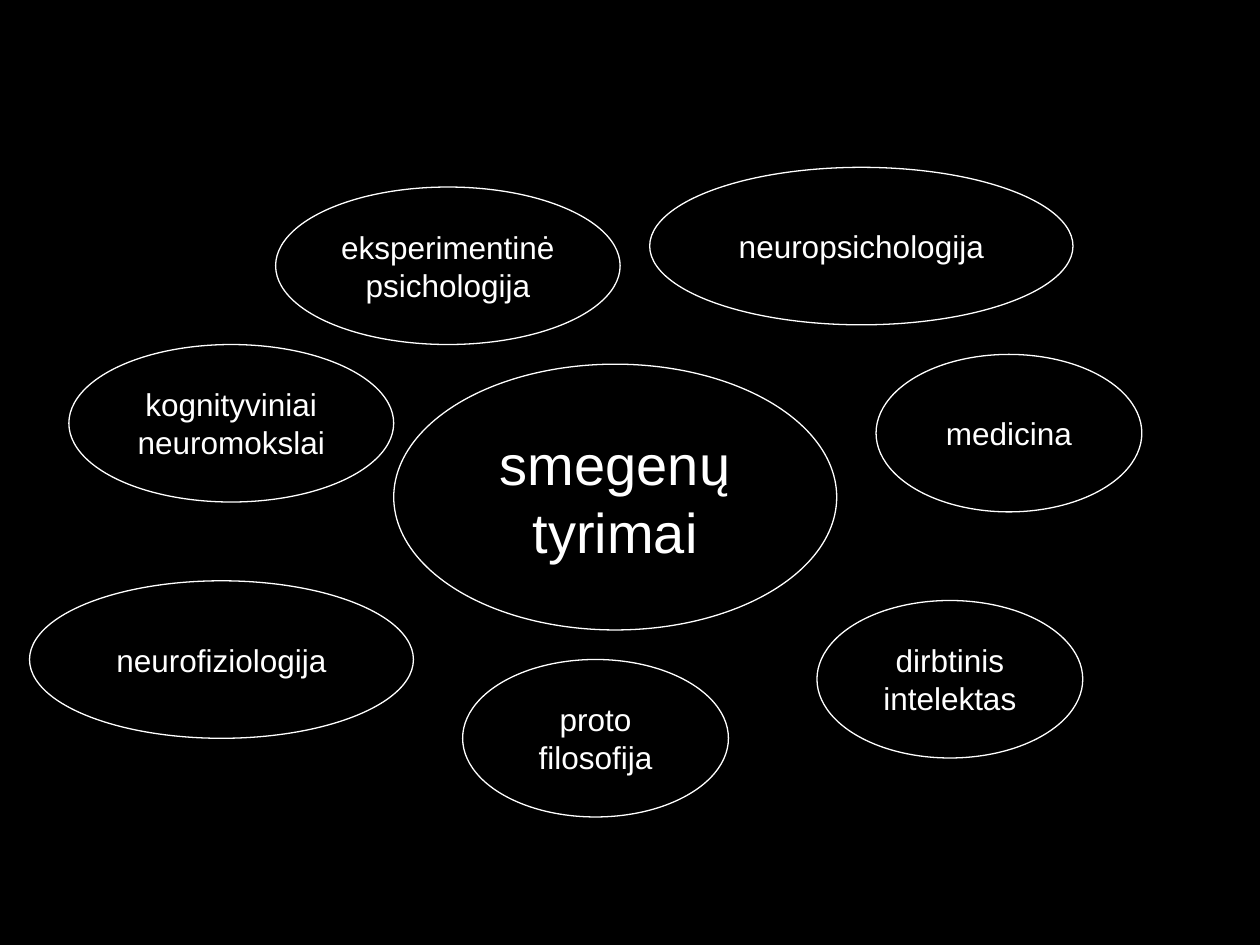
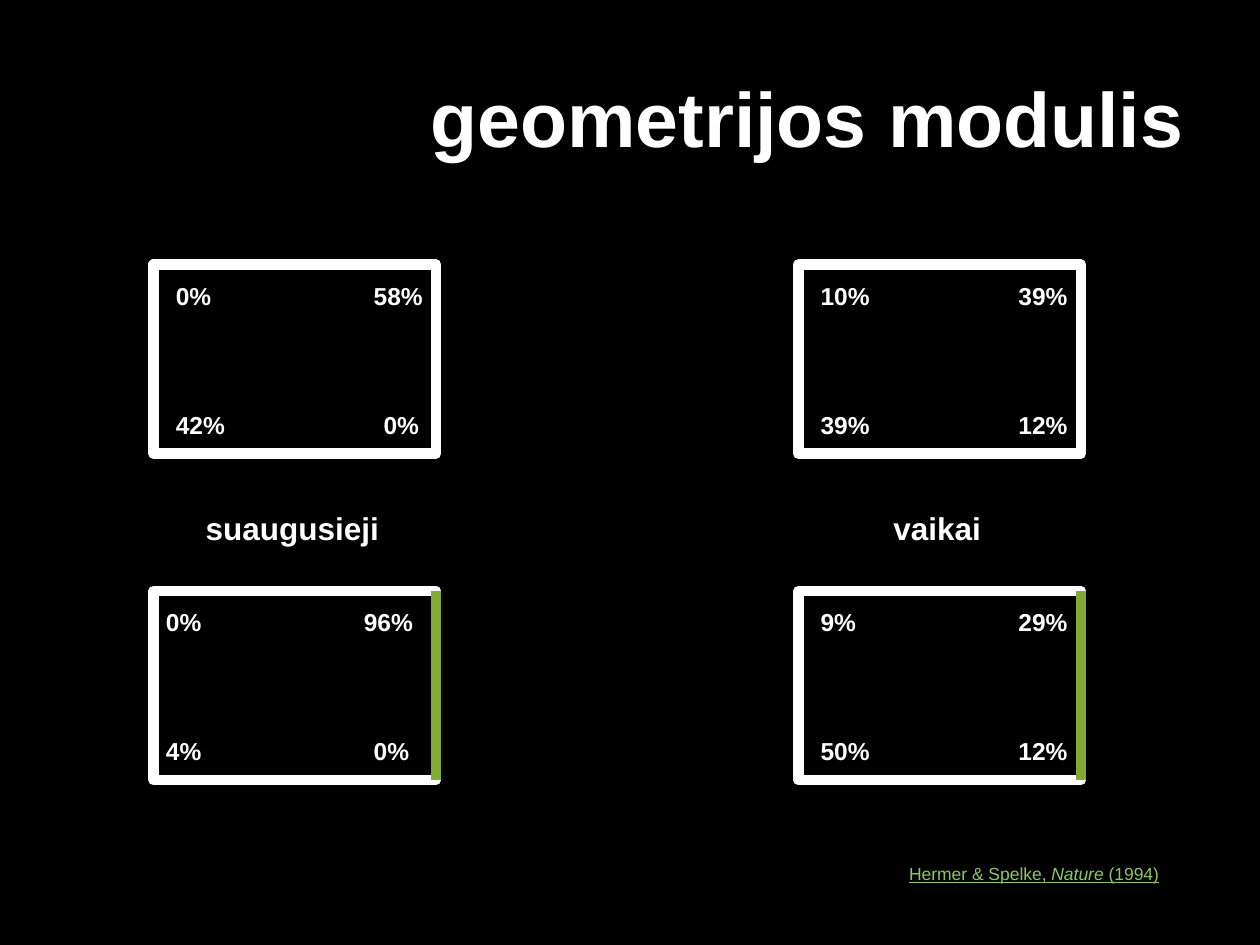
"""Build two Lithuanian slides on brain research and the geometry module."""
from dataclasses import dataclass
from itertools import product

from lxml.etree import SubElement
from pptx import Presentation
from pptx.dml.color import RGBColor
from pptx.enum.shapes import MSO_CONNECTOR, MSO_SHAPE
from pptx.enum.text import MSO_ANCHOR, MSO_AUTO_SIZE, PP_ALIGN
from pptx.oxml.ns import qn
from pptx.util import Inches, Pt

BLACK = RGBColor(0x00, 0x00, 0x00)
WHITE = RGBColor(0xFF, 0xFF, 0xFF)
WALL_GREEN = RGBColor(0x84, 0xAA, 0x33)
LINK_GREEN = RGBColor(0x8D, 0xC7, 0x65)
FONT = "Arial"
SLIDE_WIDTH, SLIDE_HEIGHT = Inches(10), Inches(7.5)
COLUMNS, ROWS = 128, 96
WALL_WIDTH = 6

ROOM_LEFT, ROOM_TOP = 15.6, 26.9
ROOM_WIDTH, ROOM_HEIGHT = 28.7, 19.2
ROOM_COLUMN_STEP, ROOM_ROW_STEP = 65.5, 33.15
CORNER_COLUMNS, CORNER_ROWS = (1, 21.1), (1, 14.1)


@dataclass(frozen=True)
class Area:
    """A rectangle in grid columns and rows."""
    column: float
    row: float
    width: float
    height: float

    def emu(self) -> tuple[int, int, int, int]:
        """Return left, top, width and height in slide units."""
        return (round(self.column * SLIDE_WIDTH / COLUMNS), round(self.row * SLIDE_HEIGHT / ROWS),
                round(self.width * SLIDE_WIDTH / COLUMNS), round(self.height * SLIDE_HEIGHT / ROWS))


@dataclass(frozen=True)
class Field:
    """A research field in an ellipse."""
    label: str
    area: Area
    size: int = 18


@dataclass(frozen=True)
class Room:
    """A room with a share for each corner, row by row."""
    column: int
    row: int
    shares: tuple[str, str, str, str]
    shift: float = 0


FIELDS = (
    Field("smegenų tyrimai", Area(40, 37, 45, 27), 32),
    Field("eksperimentinė psichologija", Area(28, 19, 35, 16)),
    Field("dirbtinis intelektas", Area(83, 61, 27, 16)),
    Field("neurofiziologija", Area(3, 59, 39, 16)),
    Field("kognityviniai neuromokslai", Area(7, 35, 33, 16)),
    Field("proto filosofija", Area(47, 67, 27, 16)),
    Field("medicina", Area(89, 36, 27, 16)),
    Field("neuropsichologija", Area(66, 17, 43, 16)),
)
ROOMS = (
    Room(0, 0, ("0%", "58%", "42%", "0%")),
    Room(0, 1, ("0%", "96%", "4%", "0%"), -1),
    Room(1, 0, ("10%", "39%", "39%", "12%")),
    Room(1, 1, ("9%", "29%", "50%", "12%")),
)
GROUPS = ("suaugusieji", "vaikai")


def add_run(paragraph, text: str, size: int, color: RGBColor = WHITE, bold: bool = False,
            italic: bool = False, underline: bool = False) -> None:
    """Add one formatted run."""
    run = paragraph.add_run()
    run.text = text
    font = run.font
    font.name, font.size, font.bold = FONT, Pt(size), bold
    font.italic, font.underline = italic, underline
    font.color.rgb = color


def add_outline(slide, kind: MSO_SHAPE, area: Area, line_width: float):
    """Add an unfilled shape with a white outline."""
    shape = slide.shapes.add_shape(kind, *area.emu())
    shape.shadow.inherit = False
    shape.fill.background()
    shape.line.color.rgb = WHITE
    shape.line.width = Pt(line_width)
    return shape


def add_text_box(slide, area: Area, alignment: PP_ALIGN, grow: bool = True):
    """Add a wrapping text box and return its paragraph."""
    frame = slide.shapes.add_textbox(*area.emu()).text_frame
    frame.word_wrap = True
    frame.auto_size = MSO_AUTO_SIZE.SHAPE_TO_FIT_TEXT if grow else MSO_AUTO_SIZE.NONE
    paragraph = frame.paragraphs[0]
    paragraph.alignment = alignment
    return paragraph


def add_field(slide, field: Field) -> None:
    """Draw a research field."""
    shape = add_outline(slide, MSO_SHAPE.OVAL, field.area, 0.75)
    frame = shape.text_frame
    frame.word_wrap = True
    frame.vertical_anchor = MSO_ANCHOR.MIDDLE
    paragraph = frame.paragraphs[0]
    paragraph.alignment = PP_ALIGN.CENTER
    add_run(paragraph, field.label, field.size)


def add_green_wall(slide, area: Area) -> None:
    """Draw the coloured right wall of a room."""
    left, top, width, height = area.emu()
    wall = slide.shapes.add_connector(
        MSO_CONNECTOR.STRAIGHT, left + width, top, left + width, top + height)
    wall.line.color.rgb = WALL_GREEN
    wall.line.width = Pt(WALL_WIDTH)
    SubElement(wall.element.spPr, qn("a:effectLst"))


def add_room(slide, room: Room) -> None:
    """Draw a room, its corner shares and, in the lower row, its green wall."""
    area = Area(ROOM_LEFT + room.column * ROOM_COLUMN_STEP,
                ROOM_TOP + room.row * ROOM_ROW_STEP, ROOM_WIDTH, ROOM_HEIGHT)
    add_outline(slide, MSO_SHAPE.RECTANGLE, area, WALL_WIDTH)
    for (row, column), share in zip(product(CORNER_ROWS, CORNER_COLUMNS), room.shares):
        nudge = 1 if share == "0%" and column == CORNER_COLUMNS[1] else 0
        corner = Area(area.column + column + room.shift + nudge, area.row + row, 8.06, 4.35)
        add_run(add_text_box(slide, corner, PP_ALIGN.LEFT), share, 14, bold=True)
    if room.row == 1:
        add_green_wall(slide, area)


def add_title(slide, text: str) -> None:
    """Place and format the title."""
    title = slide.shapes.title
    title.left, title.top, title.width, title.height = Area(6.4, 3.84, 115.2, 16).emu()
    title.text_frame.vertical_anchor = MSO_ANCHOR.MIDDLE
    paragraph = title.text_frame.paragraphs[0]
    paragraph.alignment = PP_ALIGN.RIGHT
    add_run(paragraph, text, 44, bold=True)


def add_citation(slide) -> None:
    """Add the underlined source at the lower right."""
    paragraph = add_text_box(slide, Area(74.1, 87, 44.9, 4), PP_ALIGN.RIGHT, grow=False)
    for text, italic in (("Hermer & Spelke, ", False), ("Nature", True), (" (1994)", False)):
        add_run(paragraph, text, 10, LINK_GREEN, italic=italic, underline=True)


def build_fields_slide(presentation) -> None:
    """Build the map of brain research fields."""
    slide = presentation.slides.add_slide(presentation.slide_layouts.get_by_name("Blank"))
    for field in FIELDS:
        add_field(slide, field)


def build_geometry_slide(presentation) -> None:
    """Build the comparison of adults and children."""
    slide = presentation.slides.add_slide(presentation.slide_layouts.get_by_name("Title Only"))
    add_title(slide, "geometrijos modulis")
    for room in ROOMS:
        add_room(slide, room)
    for column, group in enumerate(GROUPS):
        area = Area(14.6 + column * ROOM_COLUMN_STEP, 51.1, 30.2, 5.1)
        add_run(add_text_box(slide, area, PP_ALIGN.CENTER), group, 18, bold=True)
    add_citation(slide)


def main() -> None:
    """Build and save the presentation."""
    presentation = Presentation()
    presentation.slide_width, presentation.slide_height = SLIDE_WIDTH, SLIDE_HEIGHT
    background = presentation.slide_master.background.fill
    background.solid()
    background.fore_color.rgb = BLACK
    build_fields_slide(presentation)
    build_geometry_slide(presentation)
    presentation.save("out.pptx")


if __name__ == "__main__":
    main()
